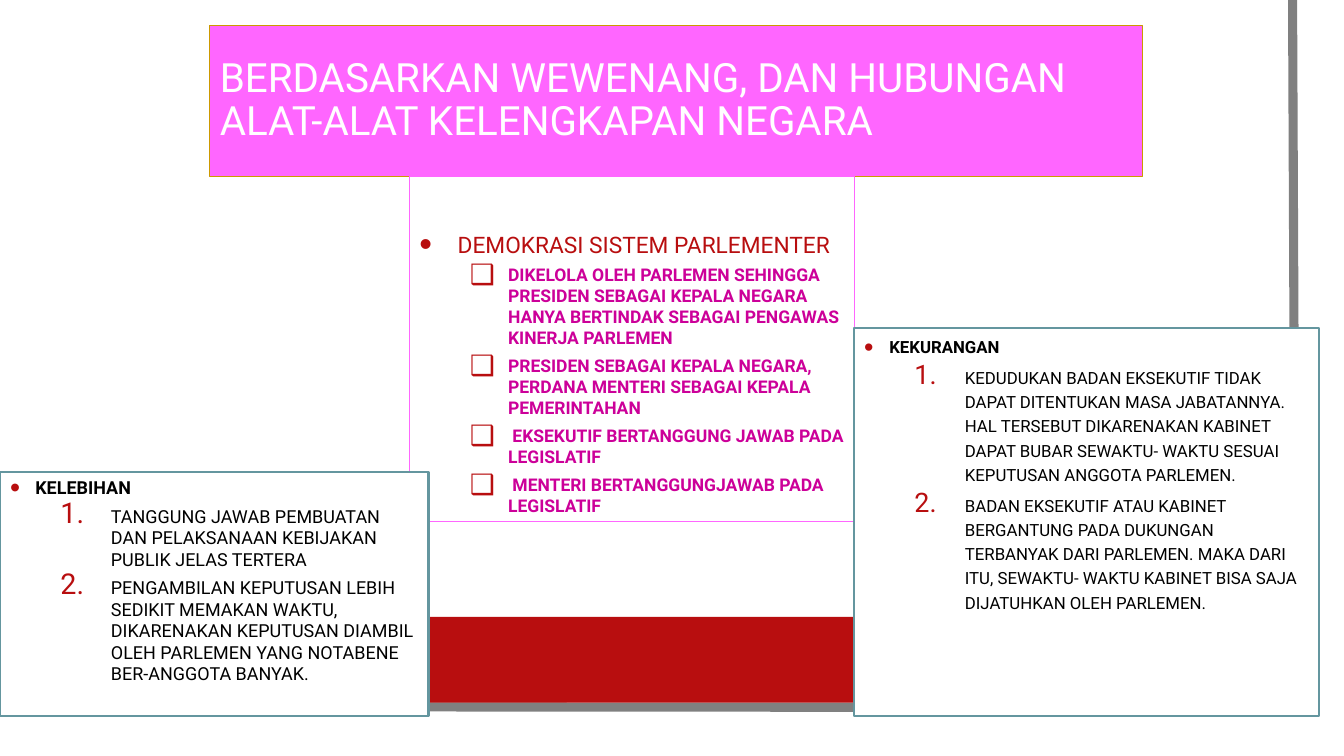
from lxml.etree import SubElement
from pptx import Presentation
from pptx.dml.color import RGBColor
from pptx.enum.shapes import MSO_SHAPE
from pptx.enum.text import MSO_ANCHOR as ANCHOR, MSO_AUTO_SIZE, PP_ALIGN
from pptx.oxml.ns import qn
from pptx.util import Inches, Pt

RED, PINK, MAGENTA, TEAL = "B80E0F", "FF66FF", "CC0099", "64969F"
BLACK, WHITE, GREY, GOLD = "000000", "FFFFFF", "808080", "CC9900"


def paint(target, color):
    """Fill a shape, line or font with a solid hex colour."""
    target.fill.solid()
    target.fill.fore_color.rgb = RGBColor.from_string(color)


def add_bullet(para, margin, hanging, tag, **marker):
    """Give a paragraph a hanging indent and a large red bullet or number."""
    props = para._p.get_or_add_pPr()
    props.set("marL", str(Inches(margin)))
    props.set("indent", str(-Inches(hanging)))
    SubElement(SubElement(props, qn("a:buClr")), qn("a:srgbClr"), val=RED)
    SubElement(props, qn("a:buSzPct"), val="160000")
    SubElement(props, qn("a:buFont"), typeface="Arial")
    SubElement(props, qn(tag), **marker)


deck = Presentation()
deck.slide_width, deck.slide_height = Inches(13.33), Inches(7.5)
slide = deck.slides.add_slide(deck.slide_layouts.get_by_name("Comparison"))
title, system_box, strengths_box, weaknesses_box, spare = slide.placeholders
spare.element.getparent().remove(spare.element)

# Frame and band behind the text
builder = slide.shapes.build_freeform(Inches(12.82), 0)
builder.add_line_segments(
    [(Inches(12.85), Inches(7.02)), (0, Inches(7.01))], close=False)
frame = builder.convert_to_shape()
frame.fill.background()
paint(frame.line, GREY)
frame.line.width = Pt(6.5)

band = slide.shapes.add_shape(
    MSO_SHAPE.RECTANGLE, 0, Inches(6.12), Inches(12.8), Inches(0.85))
paint(band, RED)
band.line.fill.background()
for backdrop in (frame, band):
    backdrop.shadow.inherit = False
    title.element.addprevious(backdrop.element)

# Boxes: position, fill, line colour, line width, anchor
for box, place, fill, line, width, anchor in (
    (title, (2.08, 0.25, 9.25, 1.5), PINK, GOLD, 0.75, ANCHOR.MIDDLE),
    (system_box, (4.06, 1.75, 4.42, 3.42), None, PINK, 0.75, ANCHOR.BOTTOM),
    (strengths_box, (0, 4.68, 4.25, 2.42), WHITE, TEAL, 1.5, ANCHOR.TOP),
    (weaknesses_box, (8.47, 3.25, 4.61, 3.85), WHITE, TEAL, 1.5, ANCHOR.TOP),
):
    box.left, box.top, box.width, box.height = map(Inches, place)
    if fill:
        paint(box, fill)
    paint(box.line, line)
    box.line.width = Pt(width)
    box.text_frame.word_wrap = True
    box.text_frame.auto_size = MSO_AUTO_SIZE.NONE
    box.text_frame.vertical_anchor = anchor

title.text_frame.text = "BERDASARKAN WEWENANG, DAN HUBUNGAN ALAT-ALAT KELENGKAPAN NEGARA"
heading = title.text_frame.paragraphs[0]
heading.alignment = PP_ALIGN.LEFT
heading.line_spacing = 0.9
heading.font.size = Pt(28.8)
heading.runs[0].font.name = "Roboto"
heading.runs[0].font.size = Pt(28.8)
paint(heading.runs[0].font, WHITE)

SQUARE = ("a:buChar", {"char": "❑"})
NUMBER = ("a:buAutoNum", {"type": "arabicPeriod"})
HEAD_BLACK, ITEM_BLACK = (BLACK, True), (BLACK, False)

# Lists: head style and items style are (size, colour, bold, line spacing),
# indents are (head indent, item margin, item hanging)
for box, head_style, item_style, indents, (tag, marker), lines in (
    (system_box, (16.2, RED, False, 0.7), (12.5, MAGENTA, True, 1.0),
     (0.38, 0.88, 0.38), SQUARE, (
        "DEMOKRASI SISTEM PARLEMENTER",
        "DIKELOLA OLEH PARLEMEN SEHINGGA PRESIDEN SEBAGAI KEPALA NEGARA HANYA BERTINDAK SEBAGAI PENGAWAS KINERJA PARLEMEN",
        "PRESIDEN SEBAGAI KEPALA NEGARA, PERDANA MENTERI SEBAGAI KEPALA PEMERINTAHAN",
        " EKSEKUTIF BERTANGGUNG JAWAB PADA LEGISLATIF",
        " MENTERI BERTANGGUNGJAWAB PADA LEGISLATIF")),
    (strengths_box, (12.8, *HEAD_BLACK, 1.0), (12.8, *ITEM_BLACK, 1.0),
     (0.25, 1, 0.5), NUMBER, (
        "KELEBIHAN",
        "TANGGUNG JAWAB PEMBUATAN DAN PELAKSANAAN KEBIJAKAN PUBLIK JELAS TERTERA",
        "PENGAMBILAN KEPUTUSAN LEBIH SEDIKIT MEMAKAN WAKTU, DIKARENAKAN KEPUTUSAN DIAMBIL OLEH PARLEMEN YANG NOTABENE BER-ANGGOTA BANYAK.")),
    (weaknesses_box, (12, *HEAD_BLACK, 1.2), (12, *ITEM_BLACK, 1.2),
     (0.25, 1, 0.5), NUMBER, (
        "KEKURANGAN",
        "KEDUDUKAN BADAN EKSEKUTIF TIDAK DAPAT DITENTUKAN MASA JABATANNYA. HAL TERSEBUT DIKARENAKAN KABINET DAPAT BUBAR SEWAKTU- WAKTU SESUAI KEPUTUSAN ANGGOTA PARLEMEN.",
        "BADAN EKSEKUTIF ATAU KABINET BERGANTUNG PADA DUKUNGAN TERBANYAK DARI PARLEMEN. MAKA DARI ITU, SEWAKTU- WAKTU KABINET BISA SAJA DIJATUHKAN OLEH PARLEMEN.")),
):
    box.text_frame.text = "\n".join(lines)
    head_indent, item_margin, item_hanging = indents
    for index, para in enumerate(box.text_frame.paragraphs):
        is_head = index == 0
        size, color, bold, spacing = head_style if is_head else item_style
        para.level = 0 if is_head else 1
        para.alignment = PP_ALIGN.LEFT
        para.line_spacing = spacing
        para.space_before = Pt(10 if is_head else 5)
        para.space_after = Pt(0)
        if is_head:
            add_bullet(para, head_indent, head_indent, "a:buChar", char="•")
        else:
            add_bullet(para, item_margin, item_hanging, tag, **marker)
        font = para.runs[0].font
        font.name, font.size, font.bold = "Roboto", Pt(size), bold
        paint(font, color)

deck.save("out.pptx")
